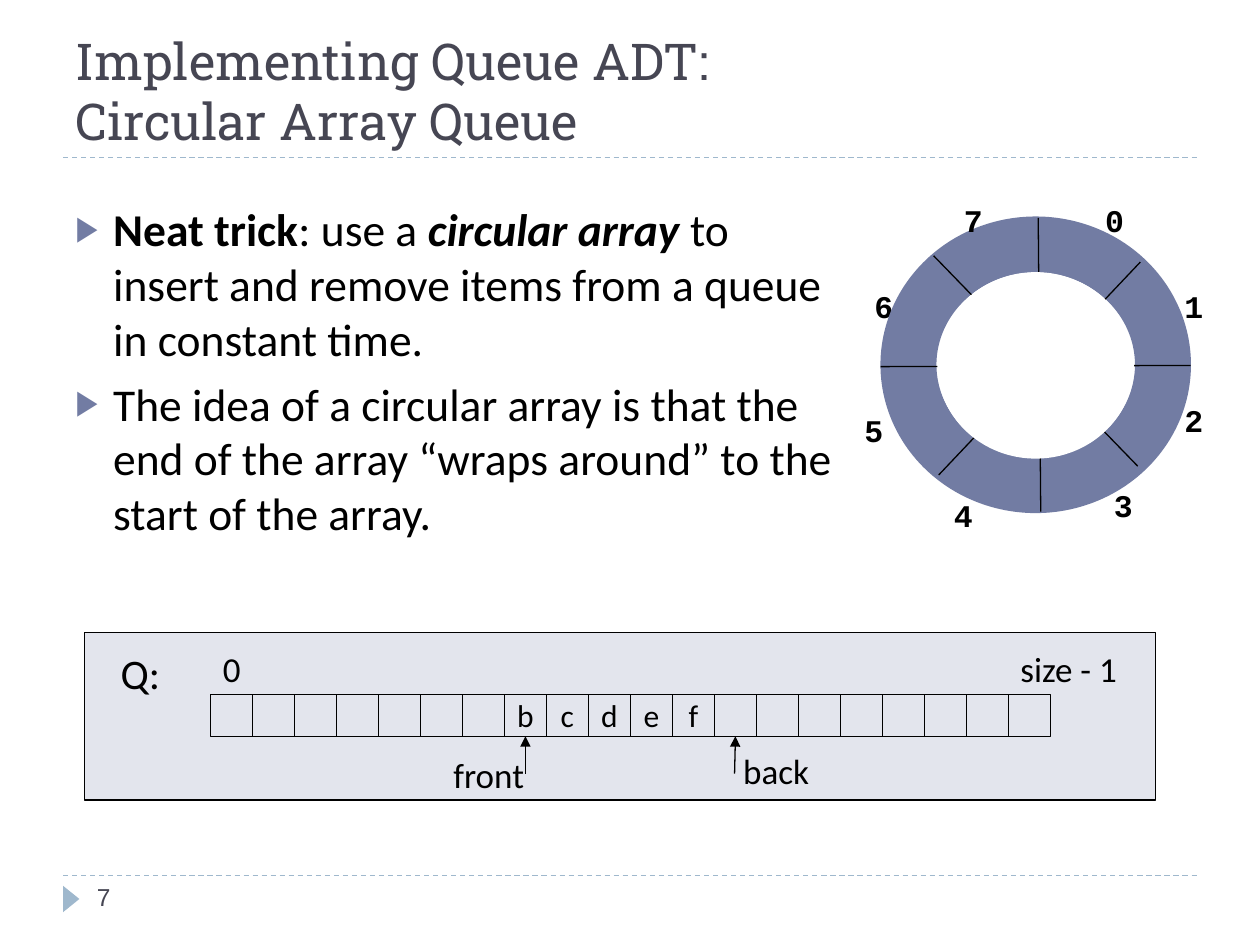
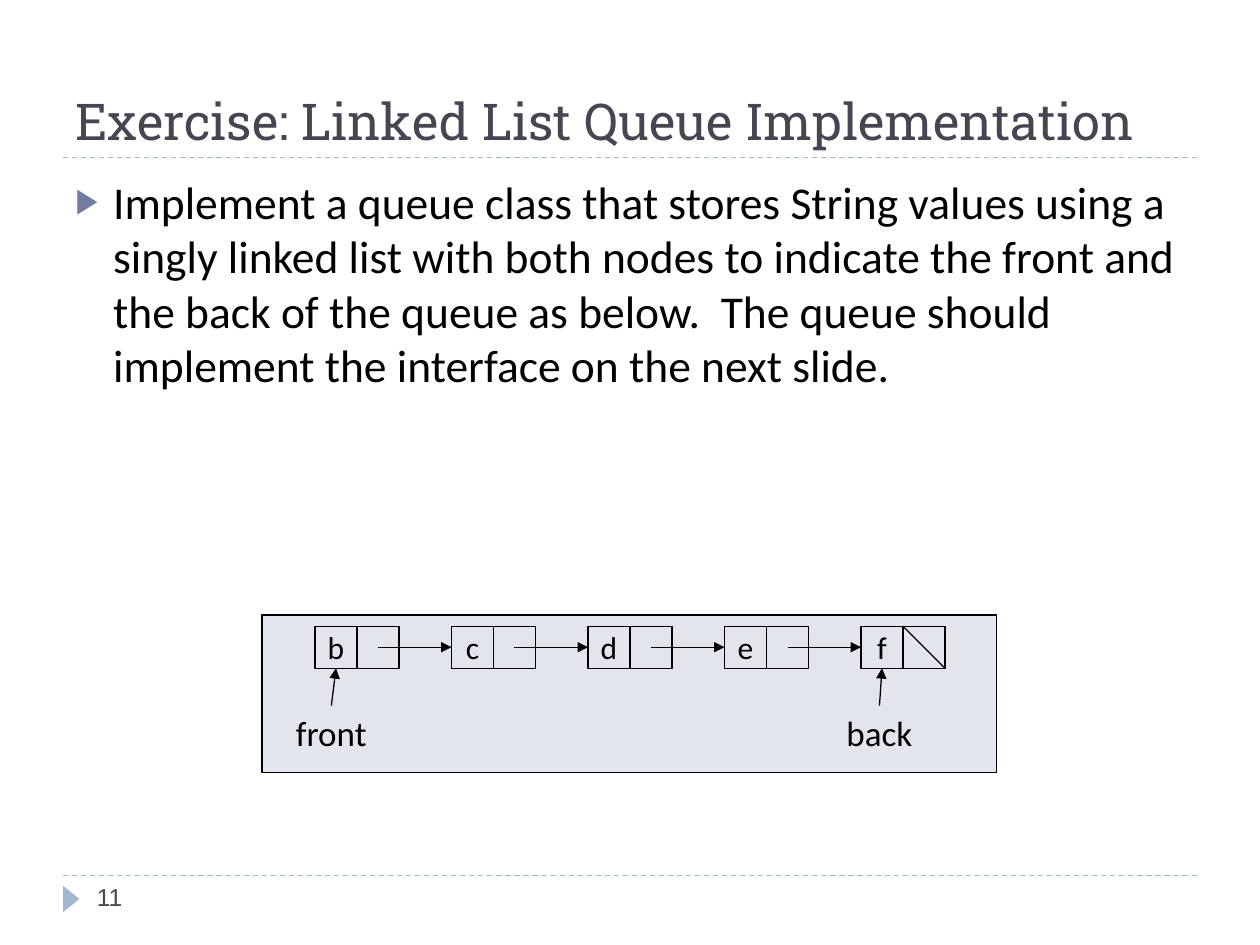
from dataclasses import dataclass
from typing import Optional

import pptx
import pptx.dml.color
import pptx.enum.dml
import pptx.enum.shapes
import pptx.enum.text
import pptx.oxml
import pptx.oxml.ns
import pptx.util
from pptx.util import Inches

BLACK, WHITE = "000000", "FFFFFF"
INK, ACCENT, RULE, PANEL = "464653", "727CA3", "9FB8CD", "E3E5ED"
CELL = 1 / 3
SHAPE = pptx.enum.shapes.MSO_SHAPE
ALIGN = pptx.enum.text.PP_ALIGN
ANCHOR = pptx.enum.text.MSO_ANCHOR


@dataclass(frozen=True)
class Style:
    size: float
    font: str = "Calibri"
    color: str = BLACK
    bold: bool = False


TITLE = Style(29, "Roboto Slab", INK)
BODY = Style(26)
CELL_TEXT = Style(18)
LABEL = Style(20)
INDEX = Style(18, "Courier New", bold=True)
PAGE = Style(14, "Arial", INK)


@dataclass(frozen=True)
class Label:
    text: str
    x: float
    y: float
    w: float
    h: float = 0.44
    style: Style = LABEL


@dataclass(frozen=True)
class Line:
    x1: float
    y1: float
    x2: float
    y2: float


@dataclass(frozen=True)
class Span:
    text: str
    bold: bool = False
    italic: bool = False


def rgb(color: str) -> pptx.dml.color.RGBColor:
    return pptx.dml.color.RGBColor.from_string(color)


def format_run(r, style: Style) -> None:
    r.font.name = style.font
    r.font.size = pptx.util.Pt(style.size)
    r.font.color.rgb = rgb(style.color)
    r.font.bold = style.bold


def add_shape(s, kind, x: float, y: float, w: float, h: float,
              fill: Optional[str] = None, line: Optional[str] = None,
              weight: float = 0.75):
    sp = s.shapes.add_shape(kind, Inches(x), Inches(y), Inches(w), Inches(h))
    sp.shadow.inherit = False
    if fill:
        sp.fill.solid()
        sp.fill.fore_color.rgb = rgb(fill)
    else:
        sp.fill.background()
    if line:
        sp.line.color.rgb = rgb(line)
        sp.line.width = pptx.util.Pt(weight)
    else:
        sp.line.fill.background()
    return sp


def add_line(s, line: Line, color: str = BLACK, arrow: bool = False):
    cx = s.shapes.add_connector(
        pptx.enum.shapes.MSO_CONNECTOR.STRAIGHT,
        Inches(line.x1), Inches(line.y1), Inches(line.x2), Inches(line.y2))
    cx.line.color.rgb = rgb(color)
    cx.line.width = pptx.util.Pt(0.75)
    if arrow:
        ln = cx.line._get_or_add_ln()
        ln.append(pptx.oxml.parse_xml(
            f'<a:tailEnd {pptx.oxml.ns.nsdecls("a")} type="triangle"/>'))
    cx._element.spPr.append(pptx.oxml.parse_xml(
        f'<a:effectLst {pptx.oxml.ns.nsdecls("a")}/>'))
    return cx


def add_arrow_to(s, x: float, y: float, target, side: int) -> None:
    """Draw an arrow from a point to the middle of one side of a cell."""
    cx = add_line(s, Line(x, y, target.left / Inches(1), target.top / Inches(1)),
                  arrow=True)
    cx.end_connect(target, side)


def add_label(s, label: Label, align=ALIGN.LEFT) -> None:
    sp = s.shapes.add_textbox(Inches(label.x), Inches(label.y),
                              Inches(label.w), Inches(label.h))
    tf = sp.text_frame
    tf.word_wrap = True
    tf.text = label.text
    p = tf.paragraphs[0]
    p.alignment = align
    format_run(p.runs[0], label.style)


def add_cell(s, x: float, y: float, text: str = ""):
    sp = add_shape(s, SHAPE.RECTANGLE, x, y, CELL, CELL, line=BLACK)
    if text:
        tf = sp.text_frame
        tf.word_wrap = False
        tf.vertical_anchor = ANCHOR.MIDDLE
        tf.text = text
        p = tf.paragraphs[0]
        p.alignment = ALIGN.CENTER
        format_run(p.runs[0], CELL_TEXT)
    return sp


def add_bullets(s, x: float, y: float, w: float, h: float,
                bullets: list[list[Span]]) -> None:
    tf = s.shapes.add_textbox(Inches(x), Inches(y), Inches(w), Inches(h)).text_frame
    tf.word_wrap = True
    for i, spans in enumerate(bullets):
        p = tf.add_paragraph() if i else tf.paragraphs[0]
        pPr = p._p.get_or_add_pPr()
        pPr.set("marL", str(Inches(0.3)))
        pPr.set("indent", str(-Inches(0.3)))
        ns = pptx.oxml.ns.nsdecls("a")
        for xml in (f'<a:buClr {ns}><a:srgbClr val="{ACCENT}"/></a:buClr>',
                    f'<a:buSzPct {ns} val="76000"/>',
                    f'<a:buFont {ns} typeface="Arial"/>',
                    f'<a:buChar {ns} char="▶"/>'):
            pPr.append(pptx.oxml.parse_xml(xml))
        if i:
            p.space_before = pptx.util.Pt(6)
        for span in spans:
            r = p.add_run()
            r.text = span.text
            format_run(r, BODY)
            r.font.bold, r.font.italic = span.bold, span.italic


def add_slide(prs, title: str, page: int):
    """Add a slide with the shared title, rules and page number."""
    s = prs.slides.add_slide(prs.slide_layouts[5])
    for y in (6.95, 1.25):
        rule = add_line(s, Line(0.5, y, 9.5, y), RULE)
        rule.line.dash_style = pptx.enum.dml.MSO_LINE.DASH
    marker = add_shape(s, SHAPE.ISOSCELES_TRIANGLE, 0.46, 7.07, 0.21, 0.13, RULE)
    marker.rotation = 90

    sp = s.shapes.title
    sp.left, sp.top = Inches(0.5), Inches(0.17)
    sp.width, sp.height = Inches(9), Inches(1.08)
    tf = sp.text_frame
    tf.word_wrap = True
    tf.auto_size = pptx.enum.text.MSO_AUTO_SIZE.NONE
    tf.vertical_anchor = ANCHOR.BOTTOM
    tf.text = title
    p = tf.paragraphs[0]
    p.alignment = ALIGN.LEFT
    for r in p.runs:
        format_run(r, TITLE)
    add_label(s, Label(str(page), 0.67, 6.95, 2.17, 0.4, PAGE))
    return s


def draw_ring(s) -> None:
    """Draw the circular array with its eight numbered slots."""
    corners = [(8.59, 1.55), (9.22, 2.23), (9.22, 3.13), (8.66, 3.81),
               (7.39, 3.89), (6.68, 3.21), (6.76, 2.23), (7.47, 1.55)]
    indexes = [Label(str(i), x, y, 0.51, 0.4, INDEX)
               for i, (x, y) in enumerate(corners)]
    for index in indexes[:-1]:
        add_label(s, index, ALIGN.CENTER)
    add_shape(s, SHAPE.OVAL, 7.21, 1.94, 2.02, 1.91, line=ACCENT, weight=32)
    for divider in (Line(8.24, 1.73, 8.26, 4.06), Line(6.99, 2.91, 9.45, 2.9),
                    Line(7.41, 2.03, 9.03, 3.7), Line(9.05, 2.08, 7.45, 3.77)):
        add_line(s, divider)
    add_shape(s, SHAPE.OVAL, 7.44, 2.16, 1.56, 1.48, WHITE)
    add_label(s, indexes[-1], ALIGN.CENTER)


def draw_array(s) -> None:
    add_shape(s, SHAPE.RECTANGLE, 0.67, 5.02, 8.5, 1.33, PANEL, BLACK)
    front, items, size = 7, "bcdef", 20
    values = [""] * front + list(items) + [""] * (size - front - len(items))
    cells = [add_cell(s, 1.67 + i * CELL, 5.51, value)
             for i, value in enumerate(values)]
    add_arrow_to(s, 4.17, 6.14, cells[front], 2)
    add_arrow_to(s, 5.83, 6.14, cells[front + len(items)], 2)
    for label in (Label("Q:", 0.86, 5.09, 0.65, 0.5, Style(24)),
                  Label("0", 1.67, 5.09, 0.4),
                  Label("size - 1", 8, 5.09, 1.1),
                  Label("front", 3.5, 5.93, 0.9),
                  Label("back", 5.8, 5.9, 0.9)):
        add_label(s, label)


def draw_linked_list(s) -> None:
    add_shape(s, SHAPE.RECTANGLE, 2.08, 4.88, 5.83, 1.25, PANEL, BLACK)
    left, top, step = 2.5, 4.97, 3.25 * CELL
    nodes = []
    for i, item in enumerate("bcdef"):
        x = left + i * step
        nodes.append(add_cell(s, x, top, item))
        add_cell(s, x + CELL, top)
        if i:
            add_arrow_to(s, x - step + 1.5 * CELL, top + CELL / 2, nodes[i], 1)
    null_x = left + 4 * step + CELL
    add_line(s, Line(null_x, top, null_x + CELL, top + CELL))
    add_label(s, Label("front", 2.25, 5.6, 0.9))
    add_label(s, Label("back", 6.62, 5.6, 0.9))
    add_arrow_to(s, 2.63, 5.6, nodes[0], 2)
    add_arrow_to(s, 6.98, 5.6, nodes[-1], 2)


def main() -> None:
    prs = pptx.Presentation()
    prs.slide_width, prs.slide_height = Inches(10), Inches(7.5)

    s = add_slide(prs, "Implementing Queue ADT:\vCircular Array Queue", 7)
    add_bullets(s, 0.5, 1.55, 6.26, 5.15, [
        [Span("Neat trick", bold=True), Span(": use a "),
         Span("circular array", bold=True, italic=True),
         Span(" to insert and remove items from a queue in constant time.")],
        [Span("The idea of a circular array is that the end of the array "
              "“wraps around” to the start of the array.")],
    ])
    draw_ring(s)
    draw_array(s)

    s = add_slide(prs, "Exercise: Linked List Queue Implementation", 11)
    add_bullets(s, 0.5, 1.33, 9, 5.4, [
        [Span("Implement a queue class that stores String values using a singly "
              "linked list with both nodes to indicate the front and the back of "
              "the queue as below.  The queue should implement the interface on "
              "the next slide.")],
    ])
    draw_linked_list(s)

    prs.save("out.pptx")


if __name__ == "__main__":
    main()
